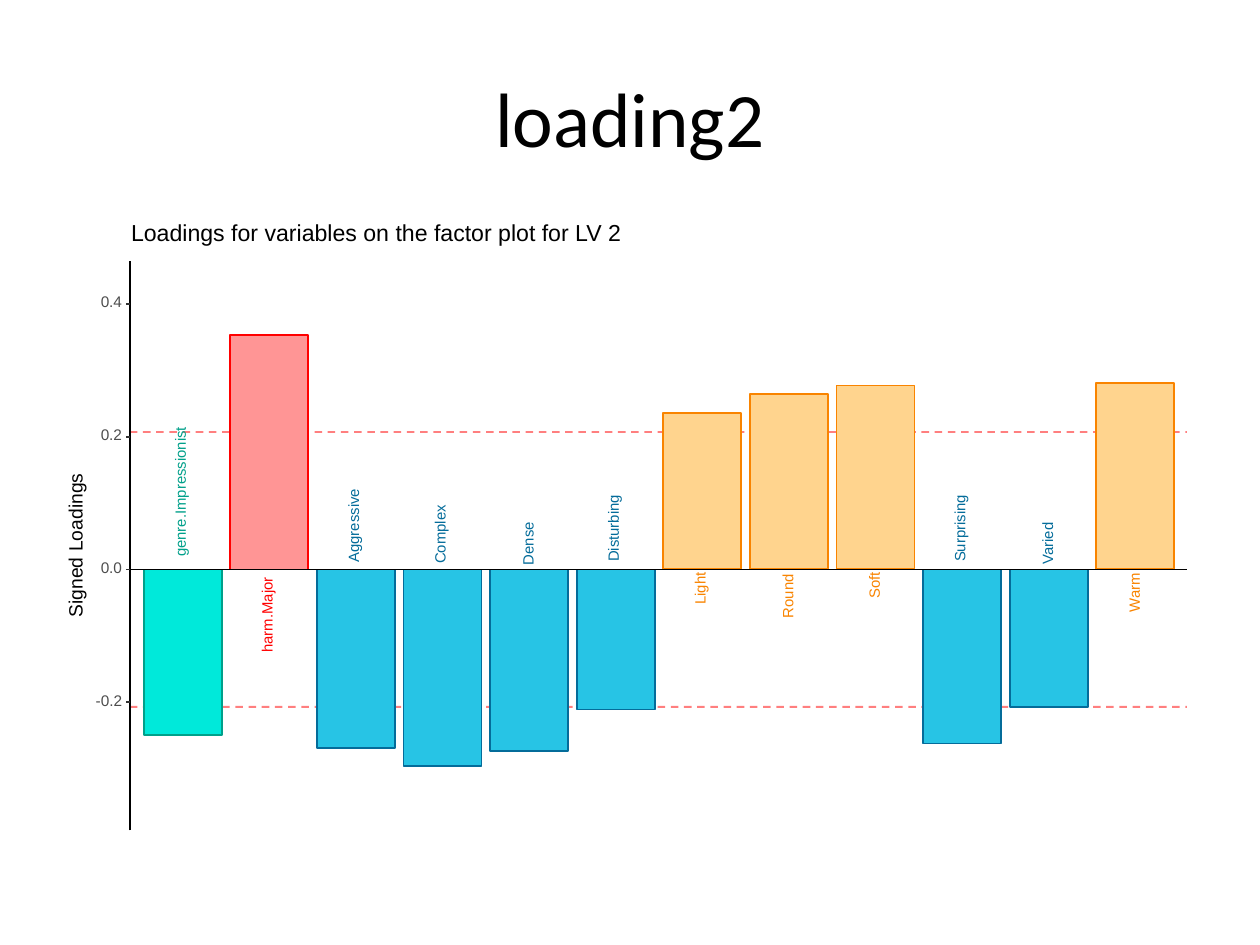
from typing import NamedTuple

from lxml.etree import SubElement
from pptx import Presentation
from pptx.dml.color import RGBColor
from pptx.enum.dml import MSO_LINE_DASH_STYLE as Dash
from pptx.enum.shapes import MSO_CONNECTOR as Connector, MSO_SHAPE as Shape
from pptx.enum.text import MSO_ANCHOR as Anchor, PP_ALIGN as Align
from pptx.oxml.ns import qn
from pptx.util import Inches, Pt


class Style(NamedTuple):
    fill: str
    line: str


class Bar(NamedTuple):
    name: str
    value: float
    style: Style
    label_y: float
    label_length: float


WHITE = Style("FFFFFF", "FFFFFF")
TEAL = Style("00E9DA", "00A08A")
RED = Style("FF9595", "FF0000")
BLUE = Style("27C4E5", "046C9A")
ORANGE = Style("FFD48E", "F98400")

BARS = [
    Bar("genre.Impressionist", -0.249, TEAL, 3.89, 1.06),
    Bar("harm.Major", 0.353, RED, 4.87, 0.62),
    Bar("Aggressive", -0.269, BLUE, 4.16, 0.61),
    Bar("Complex", -0.296, BLUE, 4.23, 0.49),
    Bar("Dense", -0.273, BLUE, 4.3, 0.37),
    Bar("Disturbing", -0.211, BLUE, 4.18, 0.56),
    Bar("Light", 0.235, ORANGE, 4.66, 0.28),
    Bar("Round", 0.264, ORANGE, 4.72, 0.37),
    Bar("Soft", 0.277, ORANGE, 4.63, 0.24),
    Bar("Surprising", -0.262, BLUE, 4.18, 0.56),
    Bar("Varied", -0.207, BLUE, 4.3, 0.36),
    Bar("Warm", 0.281, ORANGE, 4.69, 0.34),
]

# Plot geometry in inches
LEFT, RIGHT, TOP, BOTTOM = 1.03, 9.42, 2.07, 6.59
ZERO_Y, UNIT = 4.52, 5.27
FIRST_BAR, BAR_STEP, BAR_WIDTH = 1.14, 0.6873, 0.62
LINE_WIDTH = Pt(1.07)
THRESHOLD = 0.207

deck = Presentation()
deck.slide_width, deck.slide_height = Inches(10), Inches(7.5)
page = deck.slides.add_slide(deck.slide_layouts[6])


def colour(value: str) -> RGBColor:
    return RGBColor.from_string(value)


def value_y(value: float) -> float:
    return ZERO_Y - value * UNIT


def add_text(text: str, x: float, y: float, width: float, height: float,
             size: float, shade: str = "000000", font: str = "Arial",
             rotation: int = 0, align: Align = Align.LEFT,
             wrap: bool = False, spacing: bool = True) -> None:
    box = page.shapes.add_textbox(*map(Inches, (x, y, width, height)))
    box.rotation = rotation
    frame_format = {"margin_left": 0, "margin_right": 0, "margin_top": 0,
                    "margin_bottom": 0, "word_wrap": wrap,
                    "vertical_anchor": Anchor.MIDDLE}
    for key, value in frame_format.items():
        setattr(box.text_frame, key, value)
    para = box.text_frame.paragraphs[0]
    para.alignment = align
    if spacing:
        para.line_spacing = Pt(size)
    span = para.add_run()
    span.text = text
    for key, value in {"name": font, "size": Pt(size)}.items():
        setattr(span.font, key, value)
    span.font.color.rgb = colour(shade)


def add_upright_text(text: str, x: float, y: float, length: float,
                     height: float, size: float, shade: str) -> None:
    """Centre text that reads upwards on the point x, y."""
    add_text(text, x - length / 2, y - height / 2, length, height,
             size, shade, rotation=270)


def add_line(x1: float, y1: float, x2: float, y2: float,
             shade: str = "000000", dashed: bool = False) -> None:
    line = page.shapes.add_connector(
        Connector.STRAIGHT, *map(Inches, (x1, y1, x2, y2)))
    line.line.width = LINE_WIDTH
    line.line.color.rgb = colour(shade)
    if dashed:
        line.line.dash_style = Dash.DASH
        tint = line.line.fill._xPr.find(".//" + qn("a:srgbClr"))
        SubElement(tint, qn("a:alpha"), val="50000")
    SubElement(line._element.spPr, qn("a:effectLst"))


def add_rectangle(x: float, y: float, width: float, height: float,
                  style: Style) -> None:
    box = page.shapes.add_shape(
        Shape.RECTANGLE, *map(Inches, (x, y, width, height)))
    box.shadow.inherit = False
    box.fill.solid()
    box.fill.fore_color.rgb = colour(style.fill)
    box.line.color.rgb = colour(style.line)
    box.line.width = LINE_WIDTH


def add_bar(x: float, bar: Bar) -> None:
    top = min(ZERO_Y, value_y(bar.value))
    add_rectangle(x, top, BAR_WIDTH, abs(bar.value) * UNIT, bar.style)


def add_bar_label(x: float, bar: Bar) -> None:
    descends = any(letter in "gjpqy" for letter in bar.name)
    height, shift = (0.11, 0.01) if descends else (0.09, 0)
    add_upright_text(bar.name, x + BAR_WIDTH / 2 - shift, bar.label_y,
                     bar.label_length, height, 8.5, bar.style.line)


# Slide title
add_text("loading2", 0.5, 0.3, 9, 1.25, 44, font="Calibri",
         align=Align.CENTER, wrap=True, spacing=False)

# Plot background
add_rectangle(0.5, 1.75, 9, 4.95, WHITE)

# Threshold lines behind the bars
for level in (THRESHOLD, -THRESHOLD):
    add_line(LEFT, value_y(level), RIGHT, value_y(level), "FF0000", dashed=True)

# Bars, then their names
for draw in (add_bar, add_bar_label):
    for index, bar in enumerate(BARS):
        draw(FIRST_BAR + index * BAR_STEP, bar)

# Axes
add_line(LEFT, ZERO_Y, RIGHT, ZERO_Y)
add_line(LEFT, BOTTOM, LEFT, TOP)

# Tick marks and values
for tick in (-0.2, 0.0, 0.2, 0.4):
    tick_y = value_y(tick)
    tick_width = 0.21 if tick < 0 else 0.17
    add_text(f"{tick:.1f}", 0.97 - tick_width, tick_y - 0.05, tick_width, 0.09,
             8.8, "4D4D4D")
    add_line(1, tick_y, LEFT, tick_y, "333333")

# Axis title and plot title
add_upright_text("Signed Loadings", 0.61, 4.31, 1.18, 0.14, 11, "000000")
add_text("Loadings for variables on the factor plot for LV 2",
         LEFT + 0.01, 1.78, 3.9, 0.17, 13.2)

deck.save("out.pptx")
